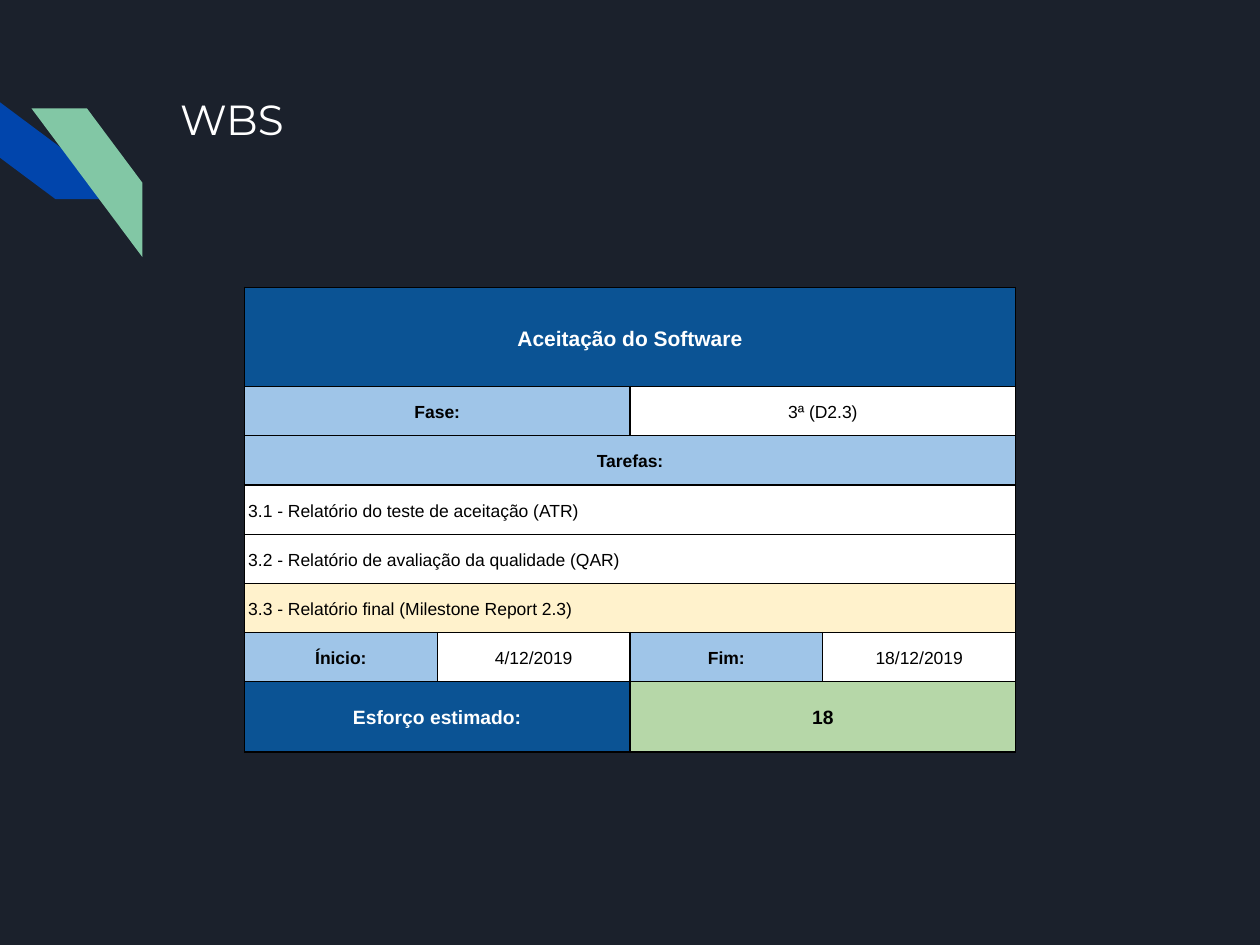
from pptx import Presentation
from pptx.dml.color import RGBColor as Color
from pptx.enum.shapes import MSO_SHAPE as Shape
from pptx.enum.text import MSO_ANCHOR as Anchor, PP_ALIGN as Align
from pptx.oxml import parse_xml
from pptx.oxml.ns import nsdecls
from pptx.util import Inches, Pt

NIGHT = Color(0x1B, 0x21, 0x2C)
ROYAL = Color(0x01, 0x45, 0xAC)
MINT = Color(0x82, 0xC7, 0xA5)
NAVY = Color(0x0B, 0x53, 0x94)
SKY = Color(0x9F, 0xC5, 0xE8)
CREAM = Color(0xFF, 0xF2, 0xCC)
GREEN = Color(0xB6, 0xD7, 0xA8)
WHITE = Color(0xFF, 0xFF, 0xFF)
BLACK = Color(0, 0, 0)

COLS = 4
COL_W = 1.53

# Cell kinds: fill, text colour, size, bold, alignment
KINDS = {
    "head": (NAVY, WHITE, 12, True, Align.CENTER),
    "label": (SKY, BLACK, 10, True, Align.CENTER),
    "value": (WHITE, BLACK, 10, False, Align.CENTER),
    "task": (WHITE, BLACK, 10, False, Align.LEFT),
    "final": (CREAM, BLACK, 10, False, Align.LEFT),
    "effort": (NAVY, WHITE, 11, True, Align.CENTER),
    "total": (GREEN, BLACK, 11, True, Align.CENTER),
}

# Rows: height, then cells that share the width equally
ROWS = [
    (0.79, [("head", "Aceitação do Software")]),
    (0.39, [("label", "Fase:"), ("value", "3ª (D2.3)")]),
    (0.39, [("label", "Tarefas:")]),
    (0.39, [("task", "3.1 - Relatório do teste de aceitação (ATR)")]),
    (0.39, [("task", "3.2 - Relatório de avaliação da qualidade (QAR)")]),
    (0.39, [("final", "3.3 - Relatório final (Milestone Report 2.3)")]),
    (0.39, [("label", "Ínicio:"), ("value", "4/12/2019"),
            ("label", "Fim:"), ("value", "18/12/2019")]),
    (0.56, [("effort", "Esforço estimado:"), ("total", "18")]),
]


def add_stripe(slide, left, top, color, turn=0, flip=False):
    stripe = slide.shapes.add_shape(
        Shape.DIAGONAL_STRIPE, Inches(left), Inches(top),
        Inches(0.88), Inches(1.18))
    stripe.adjustments[0] = 0.5
    stripe.rotation = turn
    stripe.shadow.inherit = False
    stripe.fill.solid()
    stripe.fill.fore_color.rgb = color
    stripe.line.fill.background()
    if flip:
        stripe._element.spPr.xfrm.set("flipH", "1")


def set_title(slide, text):
    title = slide.shapes.title
    title.left, title.top = Inches(1.33), Inches(0.64)
    title.width, title.height = Inches(7.7), Inches(1.33)
    frame = title.text_frame
    frame.text = text
    frame.vertical_anchor = Anchor.TOP
    frame.margin_left = frame.margin_right = Inches(0.1)
    frame.margin_top = frame.margin_bottom = Inches(0.1)
    para = frame.paragraphs[0]
    para.alignment = Align.LEFT
    font = para.runs[0].font
    font.name, font.size = "Montserrat", Pt(24)
    font.color.rgb = WHITE


def add_edges(cell):
    props = cell._tc.get_or_add_tcPr()
    for side in ("lnL", "lnR", "lnT", "lnB"):
        props.append(parse_xml(
            f'<a:{side} {nsdecls("a")} w="{Pt(0.75)}"><a:solidFill>'
            f'<a:srgbClr val="{BLACK}"/></a:solidFill></a:{side}>'))


def fill_cell(cell, kind, text):
    fill, color, size, bold, align = KINDS[kind]
    cell.fill.solid()
    cell.fill.fore_color.rgb = fill
    cell.vertical_anchor = Anchor.MIDDLE
    cell.margin_left = cell.margin_right = Inches(0.03)
    cell.margin_top = cell.margin_bottom = Inches(0.02)
    cell.text_frame.text = text
    para = cell.text_frame.paragraphs[0]
    para.alignment = align
    para.line_spacing = 1.15
    font = para.runs[0].font
    font.name, font.size, font.bold = "Arial", Pt(size), bold
    font.color.rgb = color


def add_grid(slide):
    high = sum(row[0] for row in ROWS)
    table = slide.shapes.add_table(
        len(ROWS), COLS, Inches(1.94), Inches(2.28),
        Inches(COLS * COL_W), Inches(high)).table
    table.first_row = table.horz_banding = False
    for col in table.columns:
        col.width = Inches(COL_W)
    for cell in table.iter_cells():
        add_edges(cell)
    for r, (tall, cells) in enumerate(ROWS):
        table.rows[r].height = Inches(tall)
        span = COLS // len(cells)
        for i, (kind, text) in enumerate(cells):
            cell = table.cell(r, i * span)
            if span > 1:
                cell.merge(table.cell(r, (i + 1) * span - 1))
            fill_cell(cell, kind, text)


def main():
    deck = Presentation()
    deck.slide_width, deck.slide_height = Inches(10), Inches(7.5)
    slide = deck.slides.add_slide(deck.slide_layouts[5])
    slide.background.fill.solid()
    slide.background.fill.fore_color.rgb = NIGHT

    # Corner stripes
    add_stripe(slide, 0, 0.55, ROYAL, turn=270)
    add_stripe(slide, 0.25, 0.86, MINT, flip=True)

    # Title and work package table
    set_title(slide, "WBS")
    add_grid(slide)
    deck.save("out.pptx")


if __name__ == "__main__":
    main()
